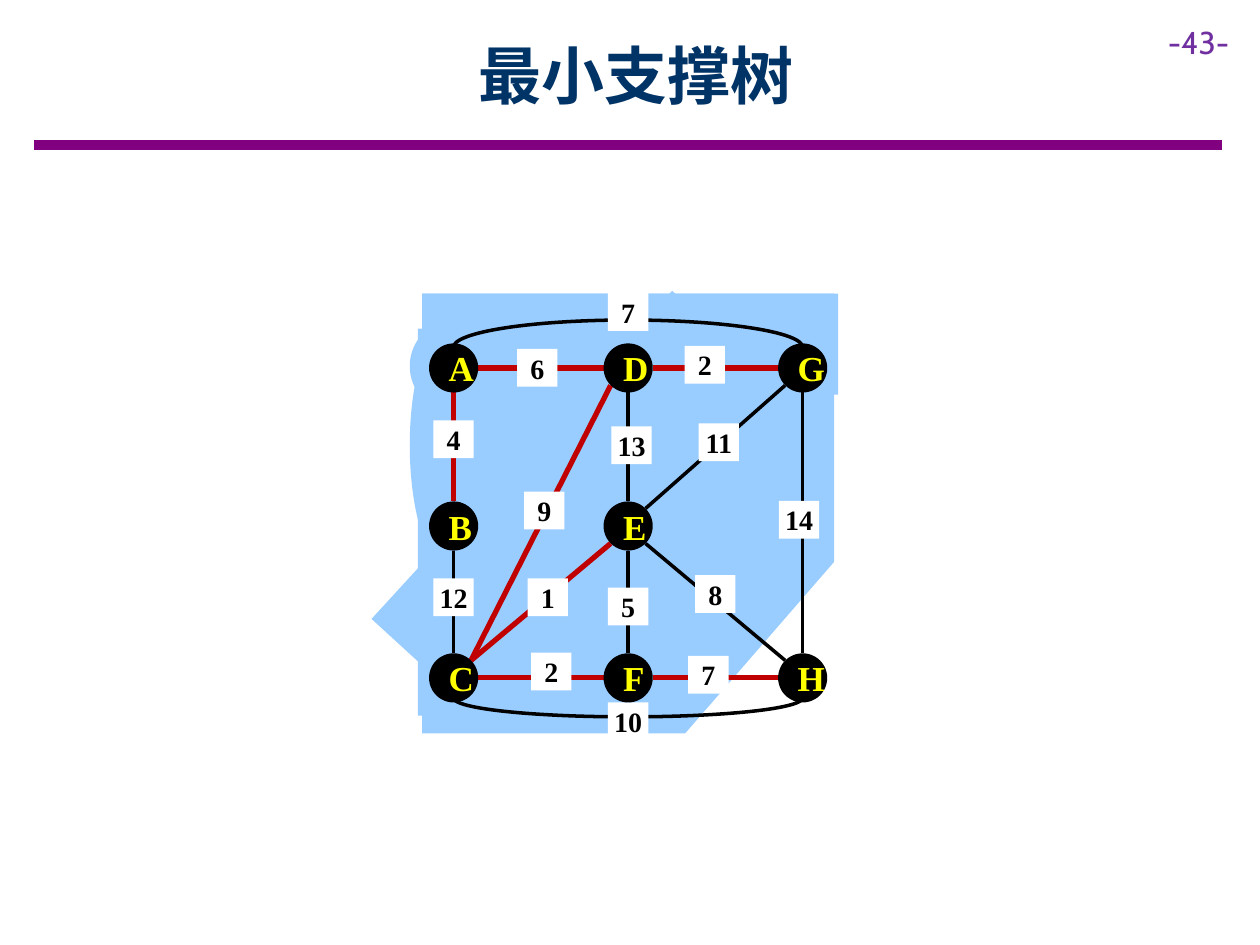
import pptx
import pptx.dml.color
import pptx.enum.shapes
import pptx.enum.text
import pptx.util
from lxml import etree

Inches = pptx.util.Inches
SHAPE = pptx.enum.shapes.MSO_SHAPE
ALIGN = pptx.enum.text.PP_ALIGN
DRAWING = "http://schemas.openxmlformats.org/drawingml/2006/main"
COLOURS = {"title": "003366", "rule": "800080", "number": "7030A0", "region": "99CCFF",
           "white": "FFFFFF", "black": "000000", "tree": "C00000", "letter": "FFFF00"}
SERIF = "Times New Roman"

NODE_SIZE = 0.39
LABEL_SIZE = (0.32, 0.3)
COLUMNS = (0, 0.5, 1)
ROWS = (0, 0.51, 1)
# node: column and row of the grid
NODES = {"A": (0, 0), "B": (0, 1), "C": (0, 2), "D": (1, 0),
         "E": (1, 1), "F": (1, 2), "G": (2, 0), "H": (2, 2)}
# ends, weight, label centre as shares of the graph's box
OTHER_EDGES = [("BC", 12, 0, 0.74), ("DE", 13, 0.51, 0.25), ("EF", 5, 0.5, 0.77),
               ("EH", 8, 0.75, 0.73), ("EG", 11, 0.76, 0.24), ("GH", 14, 0.99, 0.49)]
TREE_EDGES = [("AB", 4, 0, 0.23), ("AD", 6, 0.24, 0), ("DG", 2, 0.72, -0.01),
              ("DC", 9, 0.26, 0.46), ("CE", 1, 0.27, 0.74), ("CF", 2, 0.28, 0.98),
              ("FH", 7, 0.73, 0.99)]
# weight, label share down the box, arc top and height in inches from the box, flipped
ARCS = [(7, -0.18, -0.38, 0.43, False), (10, 1.14, 2.47, 0.3, True)]
# preset, box as shares of the region, rotation, apex, colour
REGION_PARTS = [(SHAPE.RECTANGLE, (0, 0, 1, 1), 0, None, "region"),
                (SHAPE.ISOSCELES_TRIANGLE, (0.63, 0.6, 0.38, 0.41), 0, 1, "white"),
                (SHAPE.RECTANGLE, (-0.01, 0.08, 0.17, 0.88), 0, None, "region"),
                (SHAPE.RECTANGLE, (-0.16, 0.31, 1.08, 0.35), 312.5, None, "region"),
                (SHAPE.RECTANGLE, (0, 0, 1.01, 0.23), 0, None, "region"),
                (SHAPE.OVAL, (-0.03, 0.05, 0.22, 0.59), 0, None, "region"),
                (SHAPE.OVAL, (-0.03, 0.06, 0.22, 0.21), 0, None, "region")]


def rgb(name):
    return pptx.dml.color.RGBColor.from_string(COLOURS[name])


def write(holder, text, size, colour, font=SERIF, bold=True, align=ALIGN.CENTER,
          margins=(0.1, 0.05), wrap=True, anchor=pptx.enum.text.MSO_ANCHOR.MIDDLE):
    frame = holder.text_frame
    frame.word_wrap = wrap
    frame.vertical_anchor = anchor
    frame.margin_left = frame.margin_right = Inches(margins[0])
    frame.margin_top = frame.margin_bottom = Inches(margins[1])
    paragraph = frame.paragraphs[0]
    paragraph.alignment = align
    run = paragraph.add_run()
    run.text = text
    run.font.size = pptx.util.Pt(size)
    run.font.bold = bold
    run.font.color.rgb = rgb(colour)
    run.font.name = font
    east_asian = etree.SubElement(run.font._element, f"{{{DRAWING}}}ea")
    east_asian.set("typeface", font)


def add_filled(slide, preset, box, colour):
    part = slide.shapes.add_shape(preset, *map(Inches, box))
    part.shadow.inherit = False
    part.fill.solid()
    part.fill.fore_color.rgb = rgb(colour)
    part.line.fill.background()
    return part


def add_line(slide, start, end, colour, width):
    line = slide.shapes.add_connector(pptx.enum.shapes.MSO_CONNECTOR.STRAIGHT,
                                      *map(Inches, (*start, *end)))
    line.line.color.rgb = rgb(colour)
    line.line.width = pptx.util.Pt(width)
    etree.SubElement(line.element.spPr, f"{{{DRAWING}}}effectLst")


def add_header(slide, left, top, width, height):
    title = slide.shapes.title
    title.left, title.top = Inches(left + 0.09 * width), Inches(top + 0.09)
    title.width, title.height = Inches(0.83 * width), Inches(1)
    write(title, "最小支撑树", 36, "title", font="Noto Sans CJK SC")
    number = slide.shapes.add_textbox(*map(Inches, (left + width - 0.83, top + 0.13, 0.83, 0.4)))
    write(number, "-43-", 18, "number", font="Cabin", bold=False, align=ALIGN.LEFT,
          wrap=False, anchor=pptx.enum.text.MSO_ANCHOR.TOP)
    add_line(slide, (left + 0.27, top + height), (left + 0.97 * width, top + height), "rule", 6)


def add_region(slide, left, top, width, height):
    for preset, (x, y, w, h), rotation, apex, colour in REGION_PARTS:
        part = add_filled(slide, preset, (left + x * width, top + y * height,
                                          w * width, h * height), colour)
        part.rotation = rotation
        if apex is not None:
            part.adjustments[0] = apex


def edge_ends(start, end):
    """Points where an edge meets its nodes, at the nearest of eight sites."""
    signs = [(b > a) - (b < a) for a, b in zip(start, end)]
    reach = NODE_SIZE / 2 * (0.71 if all(signs) else 1)
    return ([p + s * reach for p, s in zip(start, signs)],
            [p - s * reach for p, s in zip(end, signs)])


def add_graph(slide, left, top, width, height):
    def place(x, y):
        return left + x * width, top + y * height

    def centred(x, y, w, h):
        return x - w / 2, y - h / 2, w, h

    centres = {name: place(COLUMNS[col], ROWS[row]) for name, (col, row) in NODES.items()}

    # edges, with the spanning tree on top
    for edges, colour, thickness in ((OTHER_EDGES, "black", 2), (TREE_EDGES, "tree", 3)):
        for (first, last), *_ in edges:
            start, end = edge_ends(centres[first], centres[last])
            add_line(slide, start, end, colour, thickness)

    # outer arcs
    for _, _, offset, depth, flipped in ARCS:
        arc = slide.shapes.add_shape(SHAPE.ARC, *map(Inches, (left, top + offset, width, depth)))
        arc.shadow.inherit = False
        arc.adjustments[0], arc.adjustments[1] = 108.175, 0
        arc.fill.background()
        arc.line.color.rgb = rgb("black")
        arc.line.width = pptx.util.Pt(2)
        if flipped:
            arc.element.spPr.xfrm.set("flipV", "1")

    # weights
    weights = [edge[1:] for edge in OTHER_EDGES + TREE_EDGES]
    weights += [(weight, 0.5, y) for weight, y, *_ in ARCS]
    for weight, x, y in weights:
        label = add_filled(slide, SHAPE.RECTANGLE, centred(*place(x, y), *LABEL_SIZE), "white")
        write(label, str(weight), 16, "black", margins=(0, 0.1))

    # nodes
    for name, centre in centres.items():
        node = add_filled(slide, SHAPE.OVAL, centred(*centre, NODE_SIZE, NODE_SIZE), "black")
        write(node, name, 20, "letter", margins=(0.1, 0.1))


def main():
    deck = pptx.Presentation()
    deck.slide_width, deck.slide_height = Inches(10), Inches(7.5)
    slide = deck.slides.add_slide(deck.slide_layouts[5])
    add_header(slide, 0, 0, 10, 1.15)
    add_region(slide, 3.35, 2.33, 3.27, 3.49)
    add_graph(slide, 3.6, 2.92, 2.77, 2.46)
    deck.save("out.pptx")


if __name__ == "__main__":
    main()
